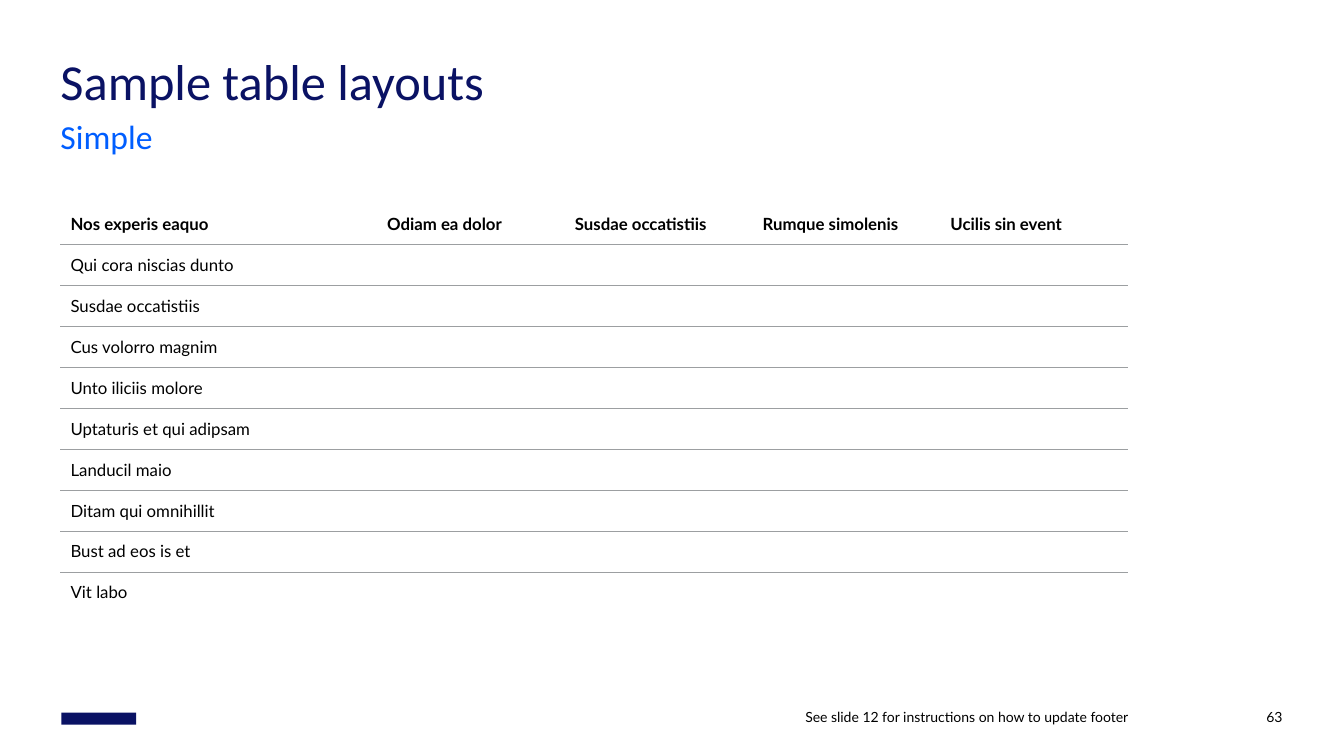
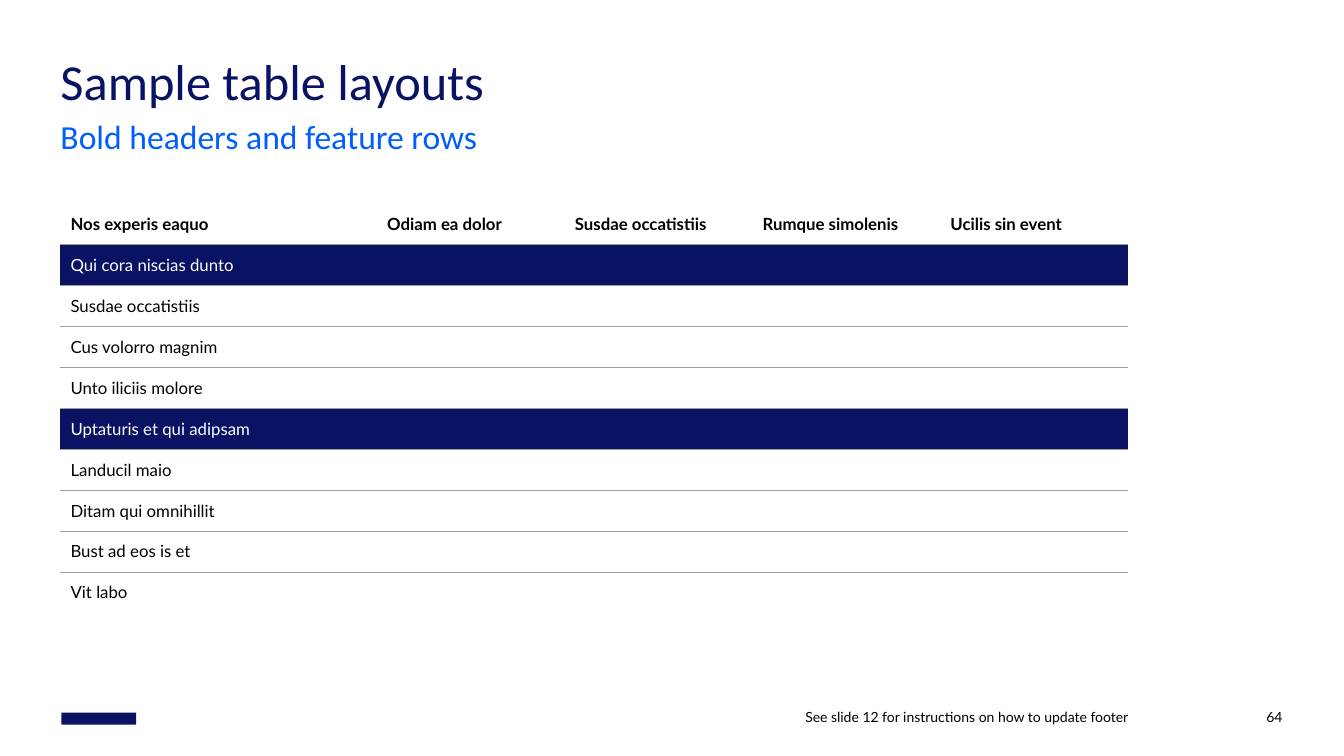
from pptx import Presentation
from pptx.dml.color import RGBColor
from pptx.enum.shapes import MSO_SHAPE
from pptx.enum.text import MSO_ANCHOR as ANCHOR, MSO_AUTO_SIZE as AUTO_SIZE, PP_ALIGN as ALIGN
from pptx.oxml import parse_xml
from pptx.oxml.ns import nsdecls, qn
from pptx.util import Inches, Pt

NAVY, BLUE, GRAY, BLACK, WHITE = "0A1264", "005EFF", "9C9FA1", "000000", "FFFFFF"
HEADING_FONT, TEXT_FONT = "Calibri", "Lato"
PLAIN_TABLE_STYLE = "{2D5ABB26-0587-4C30-8999-92F81FD0307C}"

LEFT = 0.6
CONTENT_WIDTH = 12.13
TABLE_TOP, TABLE_WIDTH, TABLE_HEIGHT = 2.02, 10.59, 4.06
LABEL_WIDTH = 3.14
FOOTER_TOP, FOOTER_HEIGHT = 6.9, 0.3

HEADERS = ["Nos experis eaquo", "Odiam ea dolor", "Susdae occatistiis",
           "Rumque simolenis", "Ucilis sin event"]
LABELS = ["Qui cora niscias dunto", "Susdae occatistiis", "Cus volorro magnim",
          "Unto iliciis molore", "Uptaturis et qui adipsam", "Landucil maio",
          "Ditam qui omnihillit", "Bust ad eos is et", "Vit labo"]


def color(hex_value):
    return RGBColor.from_string(hex_value)


def write(frame, text, size=12, font=TEXT_FONT, fill=BLACK, bold=False,
          align=ALIGN.LEFT, spacing=None):
    paragraph = frame.paragraphs[0]
    paragraph.alignment = align
    paragraph.space_before = Pt(0)
    if spacing:
        paragraph.line_spacing = spacing
    run = paragraph.add_run()
    run.text = text
    run.font.size = Pt(size)
    run.font.name = font
    run.font.bold = bold
    run.font.color.rgb = color(fill)


def prepare_frame(shape, anchor):
    frame = shape.text_frame
    frame.word_wrap = True
    frame.auto_size = AUTO_SIZE.NONE
    frame.vertical_anchor = anchor
    frame.margin_left = frame.margin_right = frame.margin_top = frame.margin_bottom = 0
    return frame


def fill_placeholder(holder, text, top, height, **text_format):
    holder.left, holder.top = Inches(LEFT), Inches(top)
    holder.width, holder.height = Inches(CONTENT_WIDTH), Inches(height)
    write(prepare_frame(holder, ANCHOR.TOP), text, font=HEADING_FONT, **text_format)


def remove_bullet(paragraph):
    properties = paragraph._p.get_or_add_pPr()
    properties.set("marL", "0")
    properties.set("indent", "0")
    properties.append(parse_xml(f"<a:buNone {nsdecls('a')}/>"))


def add_headings(slide, title, subtitle):
    fill_placeholder(slide.shapes.title, title, 0.6, 0.48,
                     size=36, fill=NAVY, spacing=Pt(36))
    body = slide.placeholders[1]
    remove_bullet(body.text_frame.paragraphs[0])
    fill_placeholder(body, subtitle, 1.23, 0.32, size=24, fill=BLUE, spacing=0.8)


def add_footer_text(slide, text, left, width):
    box = slide.shapes.add_textbox(Inches(left), Inches(FOOTER_TOP),
                                   Inches(width), Inches(FOOTER_HEIGHT))
    write(prepare_frame(box, ANCHOR.BOTTOM), text, size=10, align=ALIGN.RIGHT)


def add_footer(slide, number):
    mark = slide.shapes.add_shape(MSO_SHAPE.RECTANGLE, Inches(0.61), Inches(7.07),
                                  Inches(0.74), Inches(0.12))
    mark.shadow.inherit = False
    mark.fill.solid()
    mark.fill.fore_color.rgb = color(NAVY)
    mark.line.fill.background()
    add_footer_text(slide, "See slide 12 for instructions on how to update footer", 5.23, 5.96)
    add_footer_text(slide, str(number), 11.4, 1.32)


def add_bottom_rule(cell):
    cell._tc.get_or_add_tcPr().insert(0, parse_xml(
        f'<a:lnB {nsdecls("a")} w="{Pt(0.5)}"><a:solidFill><a:srgbClr val="{GRAY}"/>'
        '</a:solidFill></a:lnB>'))


def format_cell(cell, text, header, featured, ruled):
    cell.vertical_anchor = ANCHOR.MIDDLE
    if featured:
        cell.fill.solid()
        cell.fill.fore_color.rgb = color(NAVY)
    else:
        cell.fill.background()
    if ruled:
        add_bottom_rule(cell)
    write(cell.text_frame, text, bold=header, fill=WHITE if featured else BLACK)


def add_ruled_table(slide, featured_rows):
    rows = [HEADERS] + [[label] + [""] * (len(HEADERS) - 1) for label in LABELS]
    table = slide.shapes.add_table(len(rows), len(HEADERS), Inches(LEFT), Inches(TABLE_TOP),
                                   Inches(TABLE_WIDTH), Inches(TABLE_HEIGHT)).table
    table.horz_banding = False
    table._tbl.tblPr.find(qn("a:tableStyleId")).text = PLAIN_TABLE_STYLE
    value_width = (TABLE_WIDTH - LABEL_WIDTH) / (len(HEADERS) - 1)
    for index, column in enumerate(table.columns):
        column.width = Inches(value_width if index else LABEL_WIDTH)
    for r, texts in enumerate(rows):
        for c, text in enumerate(texts):
            format_cell(table.cell(r, c), text, header=r == 0,
                        featured=r in featured_rows, ruled=r < len(rows) - 1)


def add_table_slide(deck, subtitle, number, featured_rows=()):
    slide = deck.slides.add_slide(deck.slide_layouts[1])
    add_headings(slide, "Sample table layouts", subtitle)
    add_ruled_table(slide, featured_rows)
    add_footer(slide, number)


def main():
    deck = Presentation()
    deck.slide_width, deck.slide_height = Inches(13.33), Inches(7.5)
    add_table_slide(deck, "Simple", 63)
    add_table_slide(deck, "Bold headers and feature rows", 64, featured_rows=(1, 5))
    deck.save("out.pptx")


if __name__ == "__main__":
    main()
